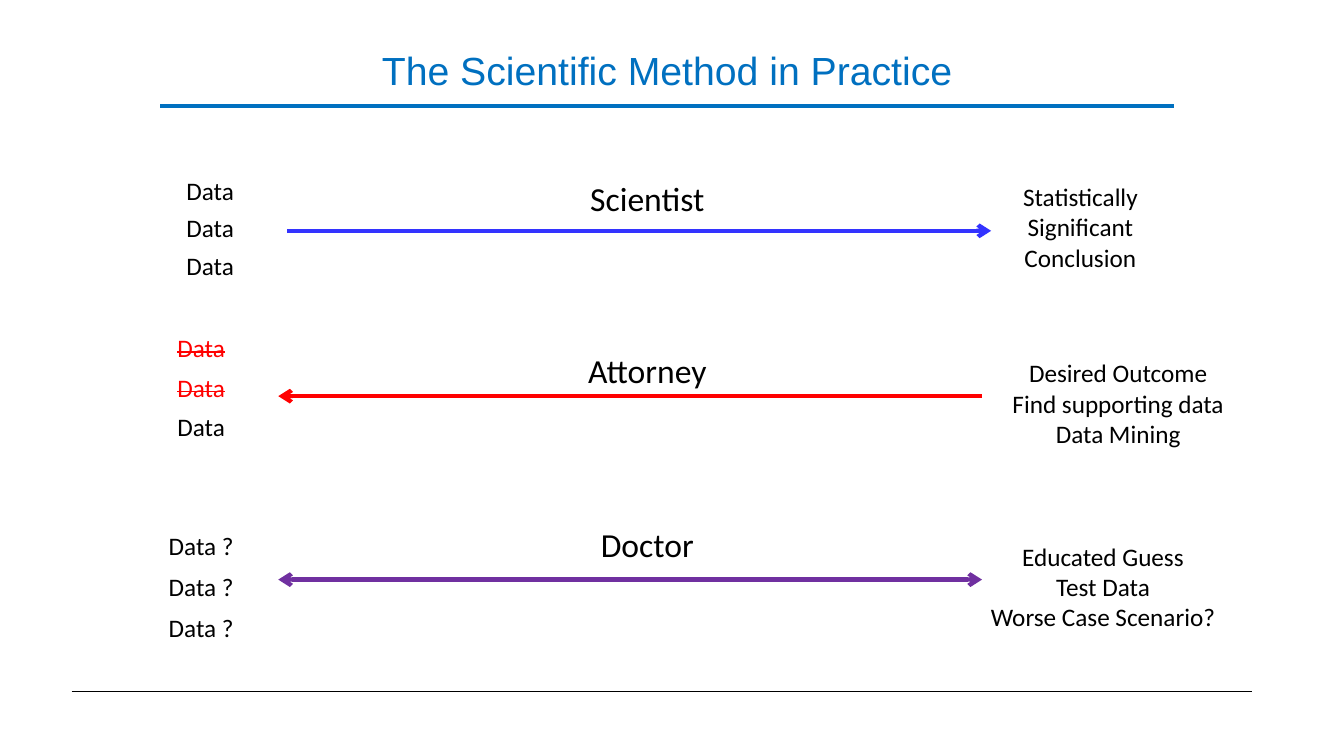
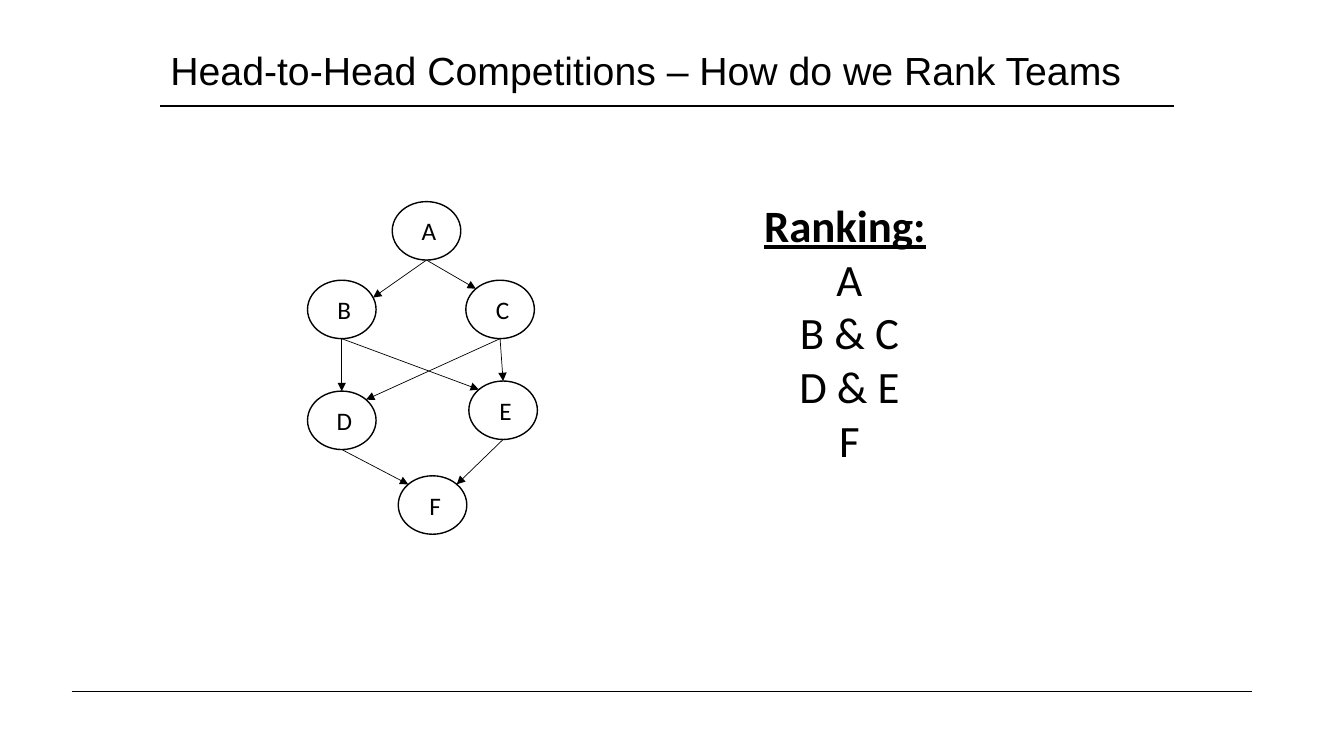
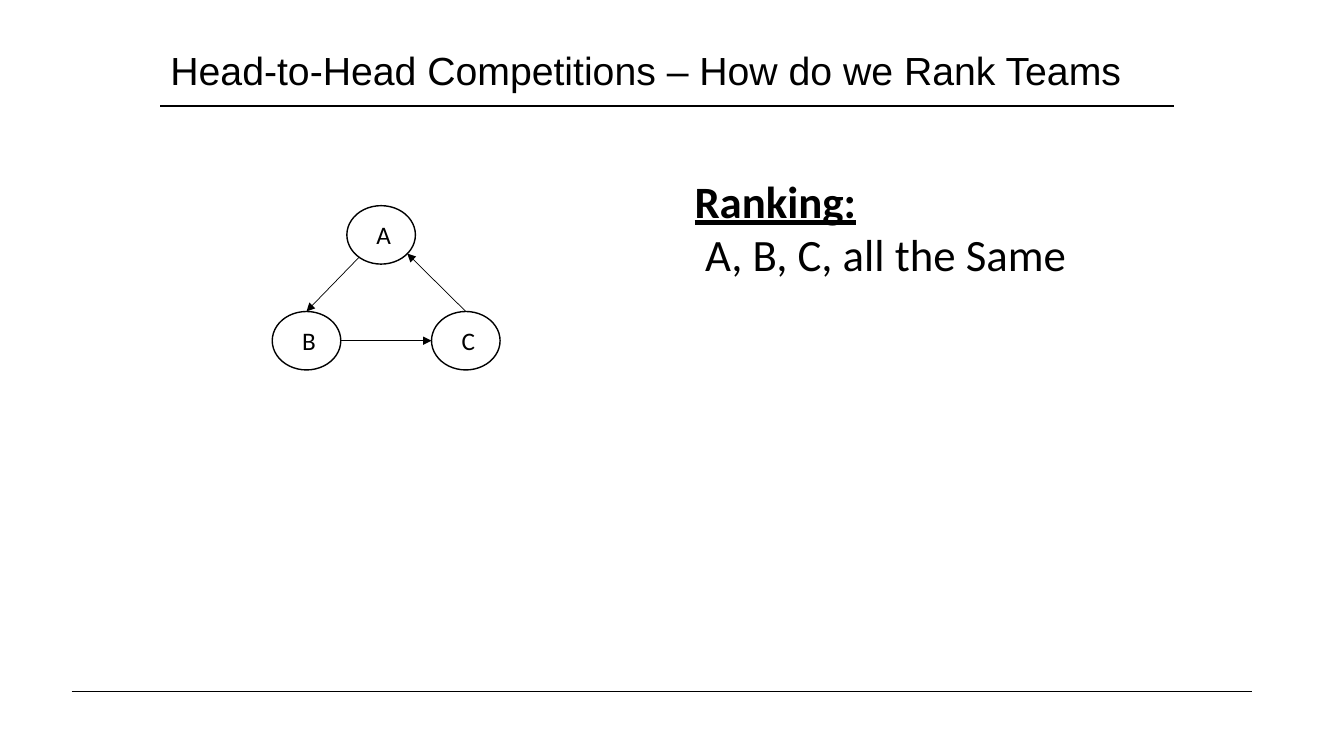
from math import cos, radians, sin

from lxml import etree
from pptx import Presentation
from pptx.dml.color import RGBColor
from pptx.enum.shapes import MSO_CONNECTOR, MSO_SHAPE
from pptx.enum.text import MSO_ANCHOR, MSO_AUTO_SIZE, PP_ALIGN
from pptx.oxml.ns import qn
from pptx.util import Inches, Pt

STRAIGHT = MSO_CONNECTOR.STRAIGHT
ELLIPSE = MSO_SHAPE.OVAL
MIDDLE = MSO_ANCHOR.MIDDLE
NO_FIT = MSO_AUTO_SIZE.NONE
LEFT, CENTER = PP_ALIGN.LEFT, PP_ALIGN.CENTER

BLACK, BLUE, RED = "000000", "0070C0", "FF0000"
NODE_W, NODE_H = 0.68, 0.58
TOP, BOTTOM, WEST, EAST = 90, 270, 180, 0
NORTH_WEST, NORTH_EAST, SOUTH_WEST = 135, 45, 230


def rgb(value):
    return RGBColor.from_string(value)


class Deck:
    title_font, body_font = "Arial", "Calibri"

    def __init__(self):
        self.prs = Presentation()
        self.prs.slide_width, self.prs.slide_height = Inches(13.33), Inches(7.5)
        self.s = None

    def slide(self, title, color=BLACK, rule=1, align=LEFT):
        self.s = self.prs.slides.add_slide(self.prs.slide_layouts[5])
        self.line((0.71, 6.86), (12.42, 6.86))
        sp = self.s.shapes.title
        box = {"left": 1.59, "top": 0.39, "width": 10.05, "height": 0.66}
        for name, value in box.items():
            setattr(sp, name, Inches(value))
        tf = sp.text_frame
        tf.auto_size, tf.vertical_anchor = NO_FIT, MIDDLE
        p = tf.paragraphs[0]
        p.line_spacing = 0.9
        self.run(p, title, align, size=28, color=color, name=self.title_font)
        self.line((1.59, 1.05), (11.64, 1.05), color, rule)

    def run(self, p, text, align=CENTER, size=18, color=BLACK, strike=False, **font):
        p.alignment = align
        r = p.add_run()
        r.text = text
        for name, value in {"name": self.body_font, "size": Pt(size), **font}.items():
            setattr(r.font, name, value)
        r.font.color.rgb = rgb(color)
        if strike:
            r.font._element.set("strike", "sngStrike")

    def text(self, x, y, w, h, lines, **style):
        sp = self.s.shapes.add_textbox(Inches(x), Inches(y), Inches(w), Inches(h))
        tf = sp.text_frame
        tf.word_wrap = True
        for i, line in enumerate(lines):
            p = tf.add_paragraph() if i else tf.paragraphs[0]
            self.run(p, line, **style)
        return tf

    def ranking(self, x, y, w, h, lines):
        tf = self.text(x, y, w, h, ["Ranking:", *lines], size=32)
        p = tf.paragraphs[0]
        p.alignment = LEFT
        for name in ("bold", "underline"):
            setattr(p.runs[0].font, name, True)

    def line(self, start, end, color=BLACK, width=0.5, head=None, tail=None):
        ends = [Inches(v) for v in (*start, *end)]
        sp = self.s.shapes.add_connector(STRAIGHT, *ends)
        sp.line.color.rgb = rgb(color)
        sp.line.width = Pt(width)
        ln = sp.get_or_add_ln()
        for tag, kind in (("a:headEnd", head), ("a:tailEnd", tail)):
            if kind:
                etree.SubElement(ln, qn(tag), type=kind)
        etree.SubElement(sp._element.spPr, qn("a:effectLst"))

    def node(self, label, x, y):
        size = Inches(NODE_W), Inches(NODE_H)
        sp = self.s.shapes.add_shape(ELLIPSE, Inches(x), Inches(y), *size)
        sp.shadow.inherit = False
        sp.fill.background()
        sp.line.color.rgb = rgb(BLACK)
        sp.line.width = Pt(1)
        tf = sp.text_frame
        frame = {"word_wrap": False, "vertical_anchor": MIDDLE,
                 "margin_left": Inches(0.05), "margin_right": 0,
                 "margin_top": 0, "margin_bottom": 0}
        for name, value in frame.items():
            setattr(tf, name, value)
        self.run(tf.paragraphs[0], label)

    def graph(self, nodes, edges):
        def rim(label, angle):
            x, y = nodes[label]
            a = radians(angle)
            return x + NODE_W / 2 * (1 + cos(a)), y + NODE_H / 2 * (1 - sin(a))

        for label, (x, y) in nodes.items():
            self.node(label, x, y)
        for source, leave, target, enter in edges:
            self.line(rim(source, leave), rim(target, enter), tail="triangle")


def method_slide(deck):
    deck.slide("The Scientific Method in Practice", BLUE, 2.5, CENTER)
    roles = [
        ("Scientist", 1.72, (2.85, 9.83, 2.29), "3333FF", None, "arrow",
         "Data", (1.41, 1.69, 0.37), 0,
         (10.04, 1.75, 1.35), ["Statistically", "Significant", "Conclusion"]),
        ("Attorney", 3.42, (9.74, 2.76, 3.93), RED, None, "arrow",
         "Data", (1.32, 3.25, 0.39), 2,
         (9.83, 3.5, 2.52), ["Desired Outcome", "Find supporting data", "Data Mining"]),
        ("Doctor", 5.15, (2.76, 9.74, 5.75), "7030A0", "arrow", "arrow",
         "Data ?", (1.32, 5.21, 0.41), 0,
         (9.7, 5.32, 2.48), ["Educated Guess", "Test Data", "Worse Case Scenario?"]),
    ]
    for (role, role_y, (x1, x2, y), color, head, tail,
         data, (data_x, data_y, step), struck, result_box, result) in roles:
        deck.line((x1, y), (x2, y), color, 3, head, tail)
        deck.text(5.13, role_y, 2.58, 0.5, [role], size=24)
        for i in range(3):
            out = i < struck
            deck.text(data_x, data_y + i * step, 1.35, 0.4, [data],
                      color=RED if out else BLACK, strike=out)
        deck.text(*result_box, 1.01, result)


def main():
    deck = Deck()
    method_slide(deck)

    competition = "Head-to-Head Competitions – How do we Rank Teams"
    deck.slide(competition)
    deck.graph(
        {"A": (3.89, 2), "B": (3.05, 2.78), "C": (4.62, 2.78),
         "D": (3.05, 3.88), "E": (4.65, 3.78), "F": (3.95, 4.72)},
        [("A", BOTTOM, "B", 24), ("A", BOTTOM, "C", NORTH_WEST),
         ("B", BOTTOM, "D", TOP), ("B", BOTTOM, "E", NORTH_WEST),
         ("C", BOTTOM, "D", NORTH_EAST), ("C", BOTTOM, "E", TOP),
         ("D", BOTTOM, "F", NORTH_WEST), ("E", BOTTOM, "F", NORTH_EAST)])
    deck.ranking(7.48, 1.91, 1.89, 3.1, ["A", "B & C", "D & E", "F"])

    deck.slide(competition)
    deck.ranking(6.79, 1.67, 3.99, 1.18, ["A, B, C, all the Same"])
    deck.graph(
        {"A": (3.44, 2.04), "B": (2.7, 3.09), "C": (4.28, 3.09)},
        [("A", SOUTH_WEST, "B", TOP), ("B", EAST, "C", WEST), ("C", TOP, "A", 320)])

    deck.prs.save("out.pptx")


if __name__ == "__main__":
    main()
